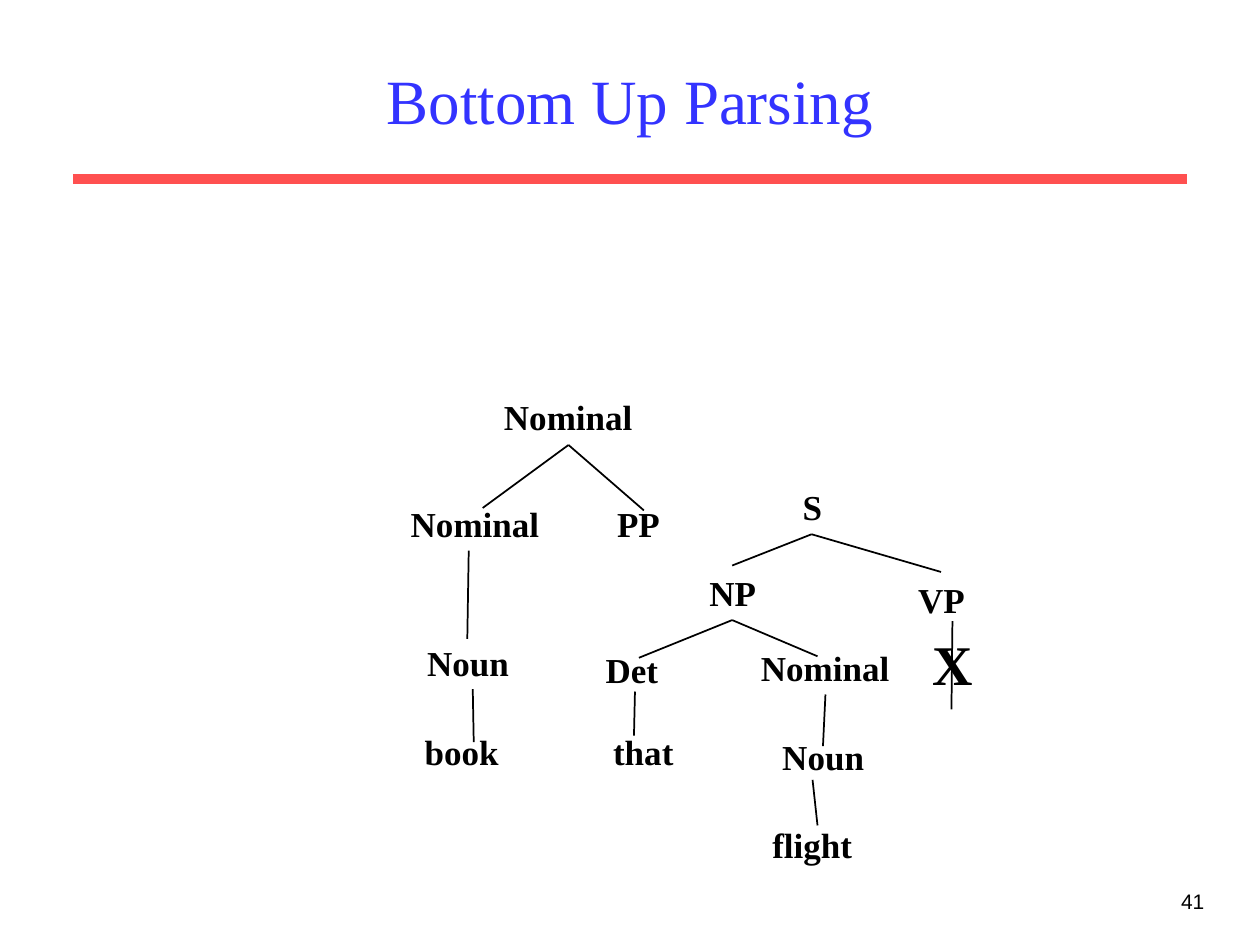
import pptx
import pptx.util
import pptx.dml.color
import pptx.enum.shapes
import pptx.enum.text
from lxml import etree
from pptx.oxml.ns import qn
from pptx.util import Cm

COLORS = {"title": "3333FF", "rule": "FF5050", "ink": "000000"}
ALIGN = pptx.enum.text.PP_ALIGN


def write(shape, text, size=20, font="Times New Roman", color="ink",
          bold=True, align=ALIGN.LEFT, wrap=False, tab=None):
    """Fill the shape with one formatted line; tab is a tab stop in cm."""
    frame = shape.text_frame
    frame.word_wrap = wrap
    frame.text = text
    paragraph = frame.paragraphs[0]
    paragraph.alignment = align
    run_font = paragraph.runs[0].font
    run_font.name = font
    run_font.size = pptx.util.Pt(size)
    run_font.bold = bold
    run_font.color.rgb = pptx.dml.color.RGBColor.from_string(COLORS[color])
    if tab:
        tab_list = etree.SubElement(paragraph._p.get_or_add_pPr(), qn("a:tabLst"))
        etree.SubElement(tab_list, qn("a:tab"), pos=str(int(Cm(tab))), algn="l")


def draw_line(shapes, start, end, color="ink", width=1):
    line = shapes.add_connector(pptx.enum.shapes.MSO_CONNECTOR.STRAIGHT,
                                Cm(start[0]), Cm(start[1]), Cm(end[0]), Cm(end[1]))
    line.line.color.rgb = pptx.dml.color.RGBColor.from_string(COLORS[color])
    line.line.width = pptx.util.Pt(width)
    etree.SubElement(line._element.spPr, qn("a:effectLst"))


presentation = pptx.Presentation()
presentation.slide_width = Cm(25.4)
presentation.slide_height = Cm(19.05)
slide = presentation.slides.add_slide(presentation.slide_layouts[5])
shapes = slide.shapes

# Title, rule and page number
draw_line(shapes, (1.47, 3.61), (23.93, 3.61), color="rule", width=6)
title = shapes.title
title.left, title.top, title.width, title.height = Cm(1.9), Cm(0.64), Cm(21.6), Cm(2.74)
title.text_frame.vertical_anchor = pptx.enum.text.MSO_ANCHOR.MIDDLE
write(title, "Bottom Up Parsing", size=36, color="title", bold=False,
      align=ALIGN.CENTER, wrap=True)
page_number = shapes.add_textbox(Cm(19.25), Cm(17.78), Cm(5.28), Cm(1.27))
write(page_number, "41", size=12, font="Arial", bold=False, align=ALIGN.RIGHT, wrap=True)

# Tree nodes: text, left, top, width
nodes = [
    ("Nominal", 9.91, 7.85, 3.2),
    ("Noun", 8.36, 12.8, 2.34),
    ("S", 15.93, 9.67, 1),
    ("NP", 14.05, 11.4, 1.6),
    ("VP", 18.26, 11.53, 1.6),
    ("Det", 11.96, 12.95, 1.8),
    ("Nominal", 15.09, 12.9, 3.2),
    ("Noun", 15.52, 14.71, 2.34),
    ("flight", 15.32, 16.48, 2.3),
]
for text, left, top, width in nodes:
    write(shapes.add_textbox(Cm(left), Cm(top), Cm(width), Cm(1.12)), text)

# Rows holding two nodes: text, left, top, width, tab stop
paired_nodes = [
    ("Nominal\tPP", 8.03, 10, 5.8, 4.16),
    ("book\tthat", 8.31, 14.6, 5.87, 3.8),
]
for text, left, top, width, tab in paired_nodes:
    write(shapes.add_textbox(Cm(left), Cm(top), Cm(width), Cm(1.12)),
          text, wrap=True, tab=tab)

# Branches: each parent point with its child points
branches = [
    ((11.46, 8.97), [(9.73, 10.24), (12.98, 10.29)]),
    ((9.45, 11.1), [(9.42, 12.88)]),
    ((9.53, 13.89), [(9.55, 14.96)]),
    ((16.36, 10.77), [(14.76, 11.4), (18.97, 11.53)]),
    ((14.76, 12.5), [(12.88, 13.26), (16.48, 13.23)]),
    ((12.8, 13.94), [(12.78, 14.83)]),
    ((16.64, 14), [(16.59, 15.04)]),
    ((16.38, 15.72), [(16.48, 16.64)]),
]
for parent, children in branches:
    for child in children:
        draw_line(shapes, parent, child)

# Failed branch under VP
failed_branch = shapes.add_group_shape()
write(failed_branch.shapes.add_textbox(Cm(18.55), Cm(12.57), Cm(1.4), Cm(1.63)), "X", size=32)
draw_line(failed_branch.shapes, (19.2, 12.52), (19.18, 14.3))

presentation.save("out.pptx")
